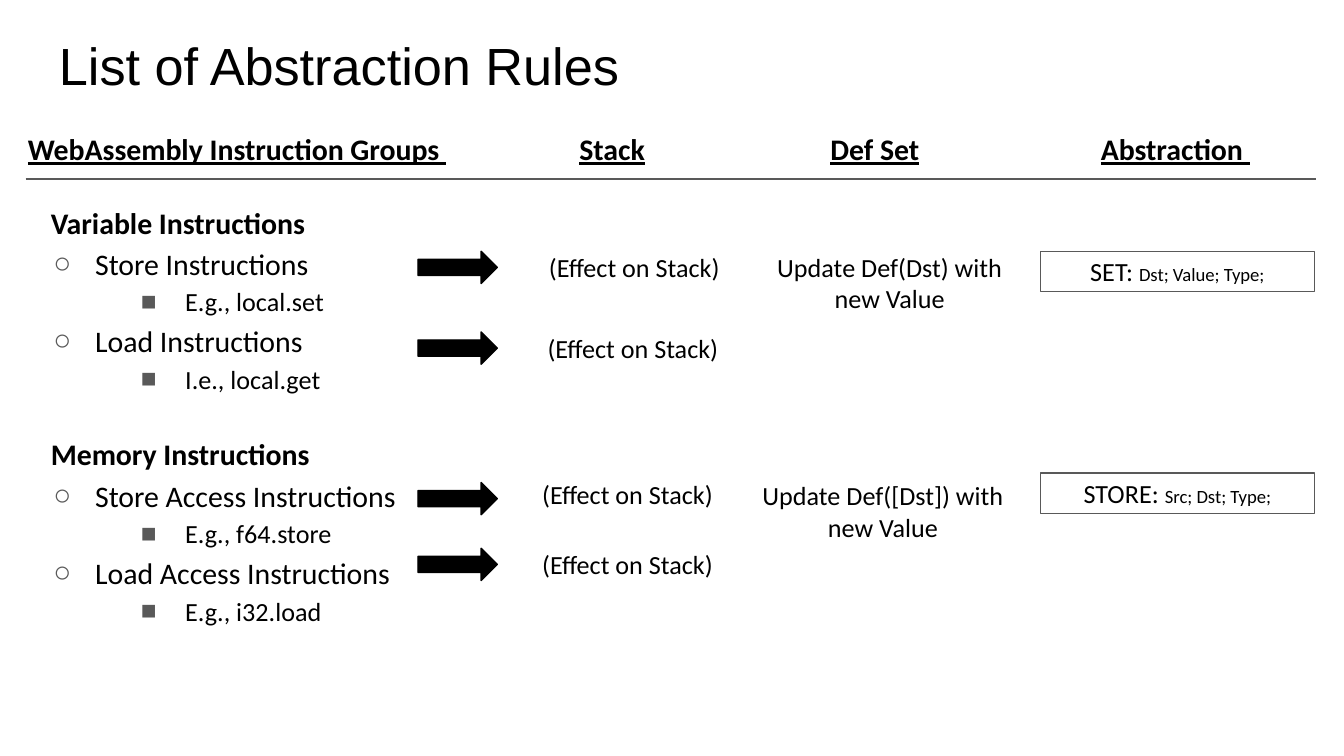
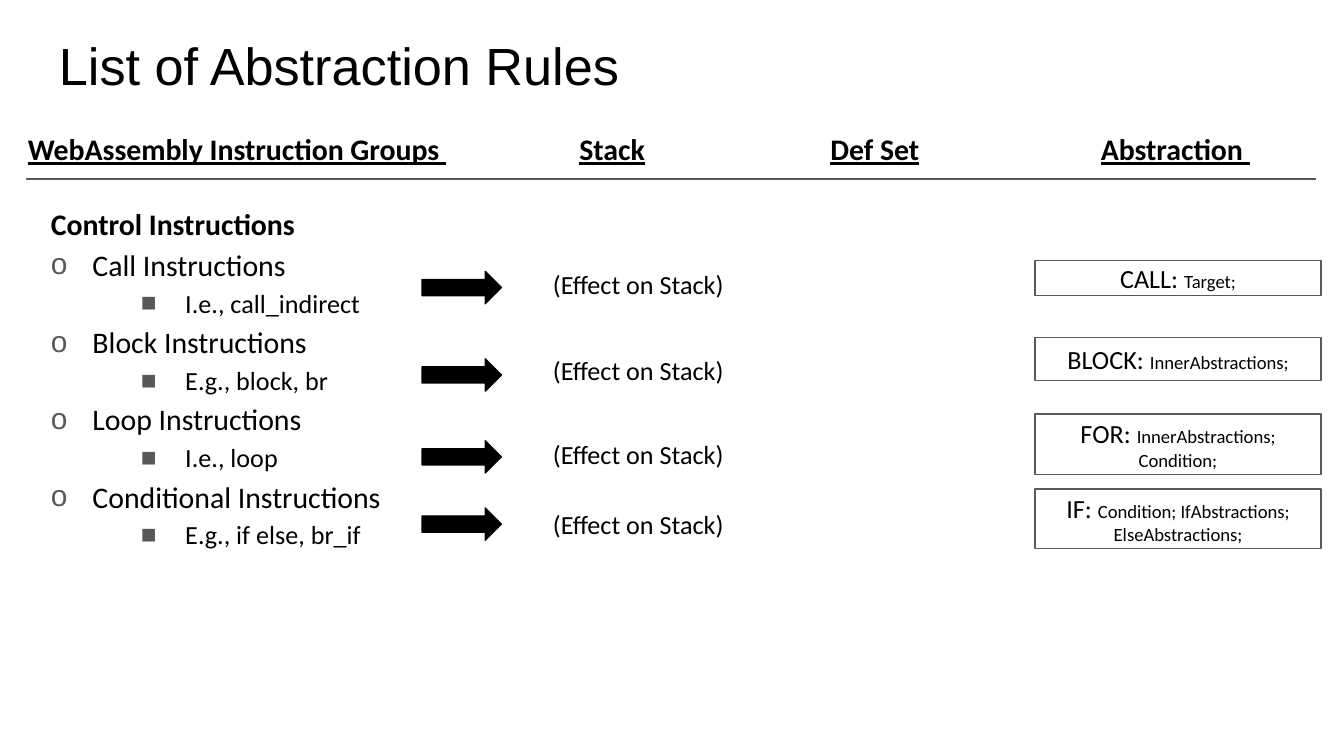
from lxml import etree
from pptx import Presentation, util as u
from pptx.dml.color import RGBColor
from pptx.enum import shapes, text
from pptx.oxml.ns import qn

PX = 9144  # 100 px to the inch
WIDE = 1000
HEX = {"ink": "000000", "gray": "595959", "page": "FFFFFF"}
BODY, HEAD = "Calibri", "Arial"

TITLE = ("List of Abstraction Rules", (34, 10, 932, 76))
COLS = [  # heading, left, width
    ("WebAssembly Instruction Groups ", -55, 463),
    ("Stack", 224, 463),
    ("Def Set", 548, 206),
    ("Abstraction ", 767, 215),
]
RULE = (19, 979, 133)  # left, right, y
ARROW = (59, 24)
NOTE_W = 204
EFFECT = "(Effect on Stack)"

# groups: heading, then (instruction, example) pairs
# notes: text, left, top, height; rules: name, fields, top, height
SLIDES = [
    {
        "body": (28, 138, 463, 404), "mark": "○", "indent": 33,
        "groups": [
            ("Variable Instructions", [
                ("Store Instructions", "E.g., local.set"),
                ("Load Instructions", "I.e., local.get")]),
            ("Memory Instructions", [
                ("Store Access Instructions", "E.g., f64.store"),
                ("Load Access Instructions", "E.g., i32.load")]),
        ],
        "arrows": (311, [187, 247, 359, 408]),
        "notes": [
            (EFFECT, 370, 187, 24), (EFFECT, 369, 247, 24),
            (EFFECT, 365, 356, 24), (EFFECT, 365, 408, 24),
            ("Update Def(Dst) with new Value", 560, 187, 47),
            ("Update Def([Dst]) with new Value", 555, 357, 47),
        ],
        "rules": (774, 204, [
            ("SET: ", "Dst; Value; Type;", 187, 30),
            ("STORE: ", "Src; Dst; Type;", 352, 30)]),
    },
    {
        "body": (28, 139, 289, 423), "mark": "o", "indent": 31,
        "groups": [
            ("Control Instructions", [
                ("Call Instructions", "I.e., call_indirect"),
                ("Block Instructions", "E.g., block, br"),
                ("Loop Instructions", "I.e., loop"),
                ("Conditional Instructions", "E.g., if else, br_if")]),
        ],
        "arrows": (314, [202, 267, 328, 378]),
        "notes": [(EFFECT, 373, y, 24) for y in (200, 264, 326, 378)],
        "rules": (770, 213, [
            ("CALL: ", "Target;", 194, 26),
            ("BLOCK: ", "InnerAbstractions;", 251, 32),
            ("FOR: ", "InnerAbstractions; Condition;", 308, 45),
            ("IF: ", "Condition; IfAbstractions; ElseAbstractions;", 364, 44)]),
    },
]


def emu(*vals):
    return [v * PX for v in vals]


def rgb(name):
    return RGBColor.from_string(HEX[name])


def setup(frame, pad=10, mid=False, grow=False):
    """Set wrap, insets, anchor and fit of a text frame."""
    frame.word_wrap = True
    frame.margin_left = frame.margin_right = 10 * PX
    frame.margin_top = frame.margin_bottom = pad * PX
    anchor = text.MSO_ANCHOR
    frame.vertical_anchor = anchor.MIDDLE if mid else anchor.TOP
    fit = text.MSO_AUTO_SIZE
    frame.auto_size = fit.SHAPE_TO_FIT_TEXT if grow else fit.NONE
    return frame


def write(para, words, size=14, font=BODY, bold=False, line=False,
          center=False, lead=None, before=None, after=None):
    """Add one run to a paragraph and format both."""
    run = para.add_run()
    run.text = words
    face = run.font
    face.name, face.size, face.bold = font, u.Pt(size), bold
    face.underline = line
    face.color.rgb = rgb("ink")
    if center:
        para.alignment = text.PP_ALIGN.CENTER
    if lead:
        para.line_spacing = lead
    if before is not None:
        para.space_before = u.Pt(before)
    if after is not None:
        para.space_after = u.Pt(after)


def label(slide, words, box, pad=10, mid=False, grow=False, **style):
    frame = setup(slide.shapes.add_textbox(*emu(*box)).text_frame, pad, mid, grow)
    write(frame.paragraphs[0], words, **style)


def bullet(para, mark, left, hang):
    props = para._p.get_or_add_pPr()
    props.set("marL", str(left * PX))
    props.set("indent", str(-hang * PX))
    tint = etree.SubElement(props, qn("a:buClr"))
    etree.SubElement(tint, qn("a:srgbClr"), val=HEX["gray"])
    etree.SubElement(props, qn("a:buFont"), typeface=HEAD)
    etree.SubElement(props, qn("a:buChar"), char=mark)


def shape(slide, kind, box, fill=None, line="ink"):
    item = slide.shapes.add_shape(kind, *emu(*box))
    item.shadow.inherit = False
    if fill:
        item.fill.solid()
        item.fill.fore_color.rgb = rgb(fill)
    else:
        item.fill.background()
    item.line.color.rgb = rgb(line)
    item.line.width = u.Pt(0.75)
    return item


def frame_up(slide):
    """Draw the title, column headings and rule shared by all slides."""
    fill = slide.background.fill
    fill.solid()
    fill.fore_color.rgb = rgb("page")
    label(slide, *TITLE, mid=True, size=28, font=HEAD)
    for words, x, w in COLS:
        label(slide, words, (x, 83, w, 47), grow=True, size=16, bold=True,
              line=True, center=True, lead=1.15, after=12)
    x1, x2, y = RULE
    rule = slide.shapes.add_connector(shapes.MSO_CONNECTOR.STRAIGHT,
                                      *emu(x1, y, x2, y))
    rule.line.color.rgb = rgb("gray")
    rule.line.width = u.Pt(1)
    etree.SubElement(rule._element.spPr, qn("a:effectLst"))


def outline(slide, data):
    """Write the instruction groups as a two-level list."""
    frame = setup(slide.shapes.add_textbox(*emu(*data["body"])).text_frame)
    para = frame.paragraphs[0]
    for n, (head, items) in enumerate(data["groups"]):
        if n:
            para = frame.add_paragraph()
        write(para, head, size=16, bold=True, lead=1.15,
              before=19.5 if n else 18)
        for name, case in items:
            para = frame.add_paragraph()
            write(para, name, size=16, lead=1.15)
            bullet(para, data["mark"], data["indent"], 31)
            para = frame.add_paragraph()
            para.level = 1
            write(para, case, lead=1.15)
            bullet(para, "■", 100, 33)


def build(slide, data):
    frame_up(slide)
    outline(slide, data)
    x, tops = data["arrows"]
    for y in tops:
        shape(slide, shapes.MSO_SHAPE.RIGHT_ARROW, (x, y, *ARROW), fill="ink")
    for words, x, y, h in data["notes"]:
        label(slide, words, (x, y, NOTE_W, h), pad=0, grow=True, center=True)
    x, w, rules = data["rules"]
    for name, fields, y, h in rules:
        box = shape(slide, shapes.MSO_SHAPE.RECTANGLE, (x, y, w, h), line="gray")
        para = setup(box.text_frame, mid=True).paragraphs[0]
        write(para, name, center=True)
        write(para, fields, size=10)


def main():
    deck = Presentation()
    deck.slide_width = WIDE * PX
    deck.slide_height = WIDE * PX * 9 // 16
    for data in SLIDES:
        build(deck.slides.add_slide(deck.slide_layouts[6]), data)
    deck.save("out.pptx")


if __name__ == "__main__":
    main()
